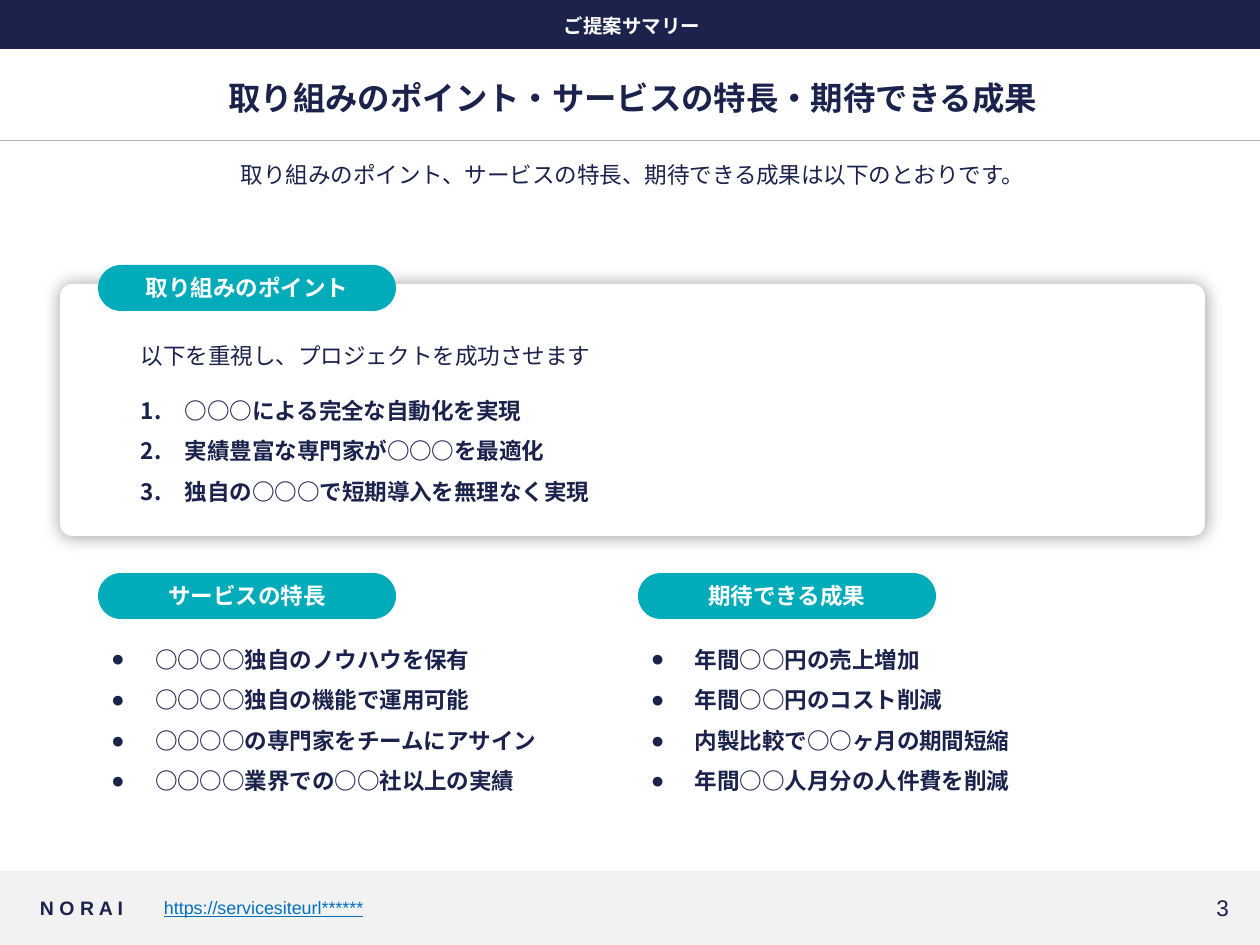
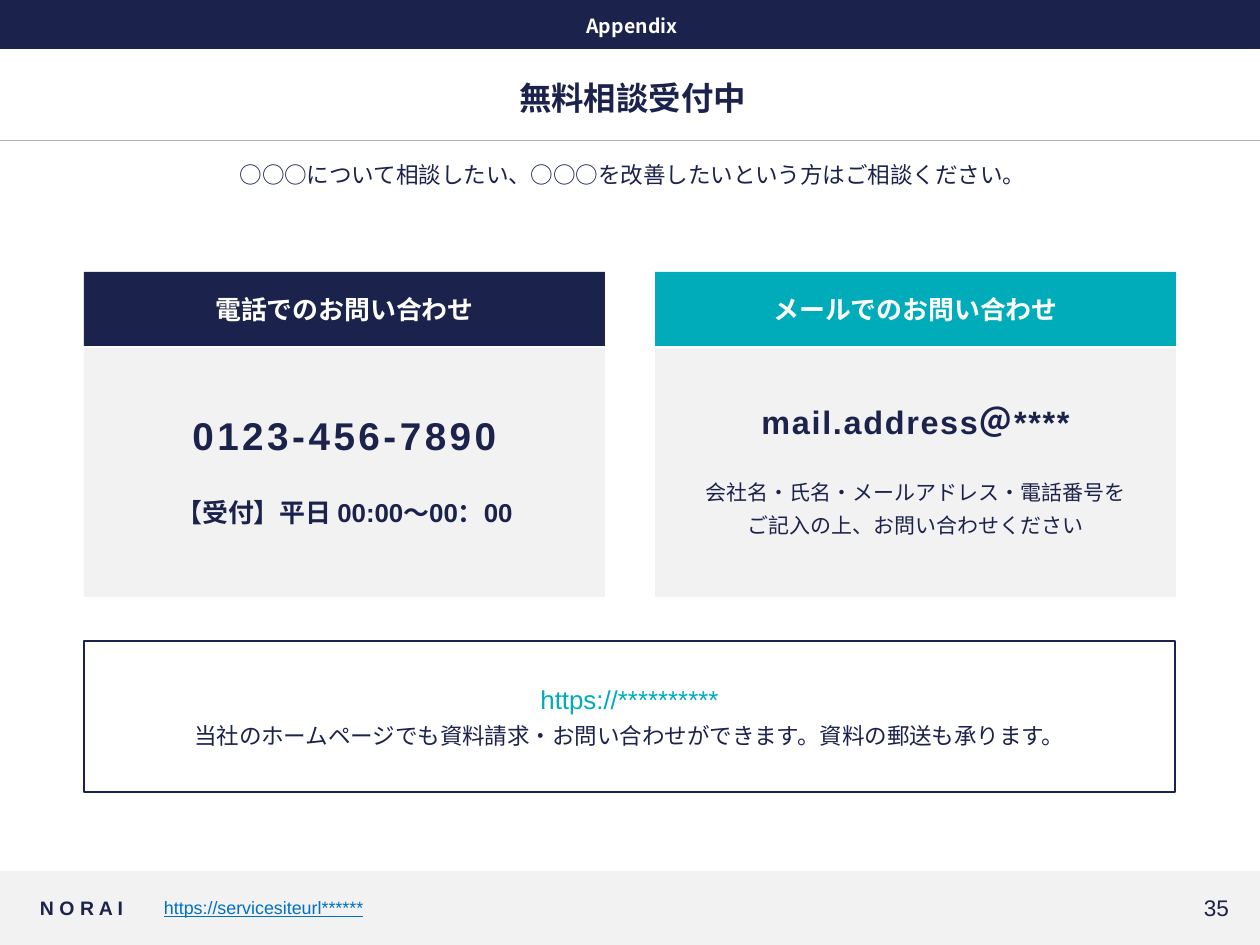
import pptx
import pptx.dml.color
import pptx.enum.shapes
import pptx.enum.text
import pptx.oxml
import pptx.oxml.ns
import pptx.util

RGBColor = pptx.dml.color.RGBColor
ALIGN = pptx.enum.text.PP_ALIGN
ANCHOR = pptx.enum.text.MSO_ANCHOR
SHAPE = pptx.enum.shapes.MSO_SHAPE
Pt = pptx.util.Pt

NAVY = RGBColor(0x1B, 0x22, 0x4C)
TEAL = RGBColor(0x00, 0xAC, 0xBA)
WHITE = RGBColor(0xFF, 0xFF, 0xFF)
PALE = RGBColor(0xF2, 0xF2, 0xF2)
RULE = RGBColor(0xAF, 0xAF, 0xAF)
LINK = RGBColor(0x00, 0x70, 0xC0)

JAPANESE = "Noto Sans CJK JP"
LATIN = "Arial"
PX_PER_INCH = 126
TIGHT = (5, 5, 5, 5)
NORMAL = (13, 6, 13, 6)
CARD_INSET = (15, 15, 15, 20)
DRAWING = pptx.oxml.ns.nsdecls("a")

PLAIN = {"size": 12.9, "name": JAPANESE, "color": NAVY, "bold": False}
STRONG = {**PLAIN, "bold": True}
PILL = {**STRONG, "color": WHITE}
TITLE = {**STRONG, "size": 18.5}
BAND = {**PILL, "size": 11.1}
CARD_HEAD = {**PILL, "size": 14.8}
NUMBER = {**PLAIN, "name": LATIN}
COMPANY = {**STRONG, "name": LATIN, "size": 11.1}
SITE = {"size": 10.2, "name": LATIN, "color": LINK, "underline": True}

CENTER = {"alignment": ALIGN.CENTER}
HANGING = {**CENTER, "margin": 19, "indent": -28, "space_after": Pt(3.7)}
CARD_LINE = {**CENTER, "space_after": Pt(4)}
CARD_LEAD = {**CENTER, "space_after": Pt(22)}
LOOSE = {"line_spacing": 1.5}
LIST = {**LOOSE, "margin": 44, "indent": -44}
NUMBERED = {**LIST, "bullet": '<a:buAutoNum %s type="arabicPeriod"/>'}
BULLETED = {**LIST, "bullet": '<a:buChar %s char="●"/>'}


def px(length):
    return pptx.util.Emu(round(length * 914400 / PX_PER_INCH))


def place(shape, area):
    for side, length in zip(("left", "top", "width", "height"), area):
        setattr(shape, side, px(length))


def format_span(span, values):
    values = dict(values)
    span.font.size = Pt(values.pop("size"))
    span.font.color.rgb = values.pop("color")
    spacing = values.pop("spacing", None)
    for name, value in values.items():
        setattr(span.font, name, value)
    properties = span.font._element
    properties.append(pptx.oxml.parse_xml(f'<a:ea {DRAWING} typeface="{JAPANESE}"/>'))
    if spacing:
        properties.set("spc", str(spacing * 100))


def format_para(para, values):
    """Apply paragraph values; margin and indent are px, bullet is XML."""
    values = {"space_before": Pt(0), "space_after": Pt(0), **values}
    margin, indent = values.pop("margin", 0), values.pop("indent", 0)
    bullet = values.pop("bullet", "<a:buNone %s/>")
    for name, value in values.items():
        setattr(para, name, value)
    properties = para._p.get_or_add_pPr()
    properties.set("marL", str(px(margin)))
    properties.set("indent", str(px(indent)))
    properties.append(pptx.oxml.parse_xml(bullet % DRAWING))


def write(shape, lines, inset=TIGHT, anchor=ANCHOR.MIDDLE, wrap=True):
    """Fill a shape with (text, span values, paragraph values) lines."""
    frame = shape.text_frame
    frame.auto_size = pptx.enum.text.MSO_AUTO_SIZE.NONE
    frame.word_wrap = wrap
    frame.vertical_anchor = anchor
    for side, length in zip(("left", "top", "right", "bottom"), inset):
        setattr(frame, f"margin_{side}", px(length))
    for index, (text, span_values, para_values) in enumerate(lines):
        para = frame.add_paragraph() if index else frame.paragraphs[0]
        format_para(para, para_values)
        span = para.add_run()
        span.text = text
        format_span(span, span_values)


def write_list(shape, items, para_values):
    write(shape, [(item, STRONG, para_values) for item in items], NORMAL, ANCHOR.TOP)


def add_text(slide, area, lines, **layout):
    box = slide.shapes.add_textbox(*map(px, area))
    write(box, lines, **layout)
    return box


def add_box(slide, area, fill=None, kind=SHAPE.RECTANGLE, outline=None):
    box = slide.shapes.add_shape(kind, *map(px, area))
    box.shadow.inherit = False
    if fill is None:
        box.fill.background()
    else:
        box.fill.solid()
        box.fill.fore_color.rgb = fill
    if outline is None:
        box.line.fill.background()
    else:
        box.line.color.rgb = outline
        box.line.width = Pt(1.5)
    return box


def add_pill(slide, left, top, text):
    pill = add_box(slide, (left, top, 298, 46), TEAL, SHAPE.ROUNDED_RECTANGLE)
    pill.adjustments[0] = 0.5
    write(pill, [(text, PILL, CENTER)])


def add_shadowed_panel(slide, area):
    panel = add_box(slide, area, WHITE, SHAPE.ROUNDED_RECTANGLE)
    panel.adjustments[0] = 0.05
    effects = panel._element.spPr.find(pptx.oxml.ns.qn("a:effectLst"))
    effects.append(pptx.oxml.parse_xml(
        f'<a:outerShdw {DRAWING} blurRad="{Pt(10)}" dist="0" algn="ctr" rotWithShape="0">'
        '<a:srgbClr val="000000"><a:alpha val="40000"/></a:srgbClr></a:outerShdw>'))


def add_rule(slide, top):
    rule = slide.shapes.add_connector(
        pptx.enum.shapes.MSO_CONNECTOR.STRAIGHT, 0, px(top), px(1260), px(top))
    rule.line.color.rgb = RULE
    rule.line.width = Pt(0.5)
    rule._element.spPr.append(pptx.oxml.parse_xml(f"<a:effectLst {DRAWING}/>"))


def add_page(deck, section, title, lead, number):
    """Add a slide with its band, title, lead sentence and footer."""
    slide = deck.slides.add_slide(deck.slide_layouts.get_by_name("Comparison"))
    band = add_box(slide, (0, -1, 1260, 50), NAVY)
    slide.shapes.title.element.addprevious(band.element)
    headings = (
        (0, (60, 73, 1145, 49), ANCHOR.MIDDLE, (title, TITLE, CENTER)),
        (1, (60, 9, 1144, 35), ANCHOR.TOP,
         (section, BAND, {**HANGING, "space_before": Pt(9.2)})),
        (3, (60, 156, 1145, 79), ANCHOR.TOP, (lead, PLAIN, HANGING)),
    )
    for index, area, anchor, line in headings:
        holder = slide.placeholders[index]
        place(holder, area)
        write(holder, [line], anchor=anchor)
    add_rule(slide, 140)
    add_box(slide, (0, 871, 1260, 74), PALE)
    add_text(slide, (35, 888, 123, 39), [("N O R A I", COMPANY, {})], wrap=False)
    add_text(slide, (159, 888, 917, 39), [("https://servicesiteurl******", SITE, {})])
    add_text(slide, (1110, 888, 124, 39),
             [(number, NUMBER, {"alignment": ALIGN.RIGHT})], wrap=False)
    return slide


def add_contact_card(slide, left, heading, color, lines):
    head = add_box(slide, (left, 272, 521, 74), color)
    write(head, [(heading, CARD_HEAD, CENTER)], NORMAL)
    body = add_box(slide, (left, 348, 521, 249), PALE)
    write(body, lines, CARD_INSET)


def build_summary(deck):
    slide = add_page(
        deck, "ご提案サマリー", "取り組みのポイント・サービスの特長・期待できる成果",
        "取り組みのポイント、サービスの特長、期待できる成果は以下のとおりです。", "3")
    add_shadowed_panel(slide, (60, 284, 1145, 252))
    add_pill(slide, 98, 265, "取り組みのポイント")
    add_text(slide, (128, 322, 1008, 56),
             [("以下を重視し、プロジェクトを成功させます", PLAIN, LOOSE)],
             inset=NORMAL, anchor=ANCHOR.TOP)
    points = add_text(slide, (128, 377, 1008, 137), [])
    write_list(points, ("○○○による完全な自動化を実現",
                        "実績豊富な専門家が○○○を最適化",
                        "独自の○○○で短期導入を無理なく実現"), NUMBERED)
    columns = (
        (2, 98, "サービスの特長", (
            "○○○○独自のノウハウを保有", "○○○○独自の機能で運用可能",
            "○○○○の専門家をチームにアサイン", "○○○○業界での○○社以上の実績")),
        (4, 638, "期待できる成果", (
            "年間○○円の売上増加", "年間○○円のコスト削減",
            "内製比較で○○ヶ月の期間短縮", "年間○○人月分の人件費を削減")),
    )
    for index, left, heading, items in columns:
        add_pill(slide, left, 573, heading)
        holder = slide.placeholders[index]
        place(holder, (left, 626, 527, 183))
        write_list(holder, items, BULLETED)


def build_contact(deck):
    slide = add_page(
        deck, "Appendix", "無料相談受付中",
        "○○○について相談したい、○○○を改善したいという方はご相談ください。", "35")
    for index in (2, 4):
        unused = slide.placeholders[index].element
        unused.getparent().remove(unused)
    bold = {**STRONG, "name": LATIN}
    note = {**NUMBER, "size": 12}
    add_contact_card(slide, 84, "電話でのお問い合わせ", NAVY, [
        ("0123-456-7890", {**bold, "size": 22.1, "spacing": 2}, CARD_LEAD),
        ("【受付】平日 00:00〜00：00", {**bold, "size": 14.8}, CARD_LINE)])
    add_contact_card(slide, 655, "メールでのお問い合わせ", TEAL, [
        ("mail.address＠****", {**bold, "size": 18.5, "spacing": 1}, CARD_LEAD),
        ("会社名・氏名・メールアドレス・電話番号を", note, CARD_LINE),
        ("ご記入の上、お問い合わせください", note, CARD_LINE)])
    website = add_box(slide, (84, 641, 1091, 151), outline=NAVY)
    write(website, [
        ("https://**********", {**NUMBER, "size": 14.8, "color": TEAL}, CARD_LINE),
        ("当社のホームページでも資料請求・お問い合わせができます。資料の郵送も承ります。",
         NUMBER, CARD_LINE)], (25, 25, 25, 25))


def main():
    deck = pptx.Presentation()
    deck.slide_width, deck.slide_height = px(1260), px(945)
    build_summary(deck)
    build_contact(deck)
    deck.save("out.pptx")


if __name__ == "__main__":
    main()
